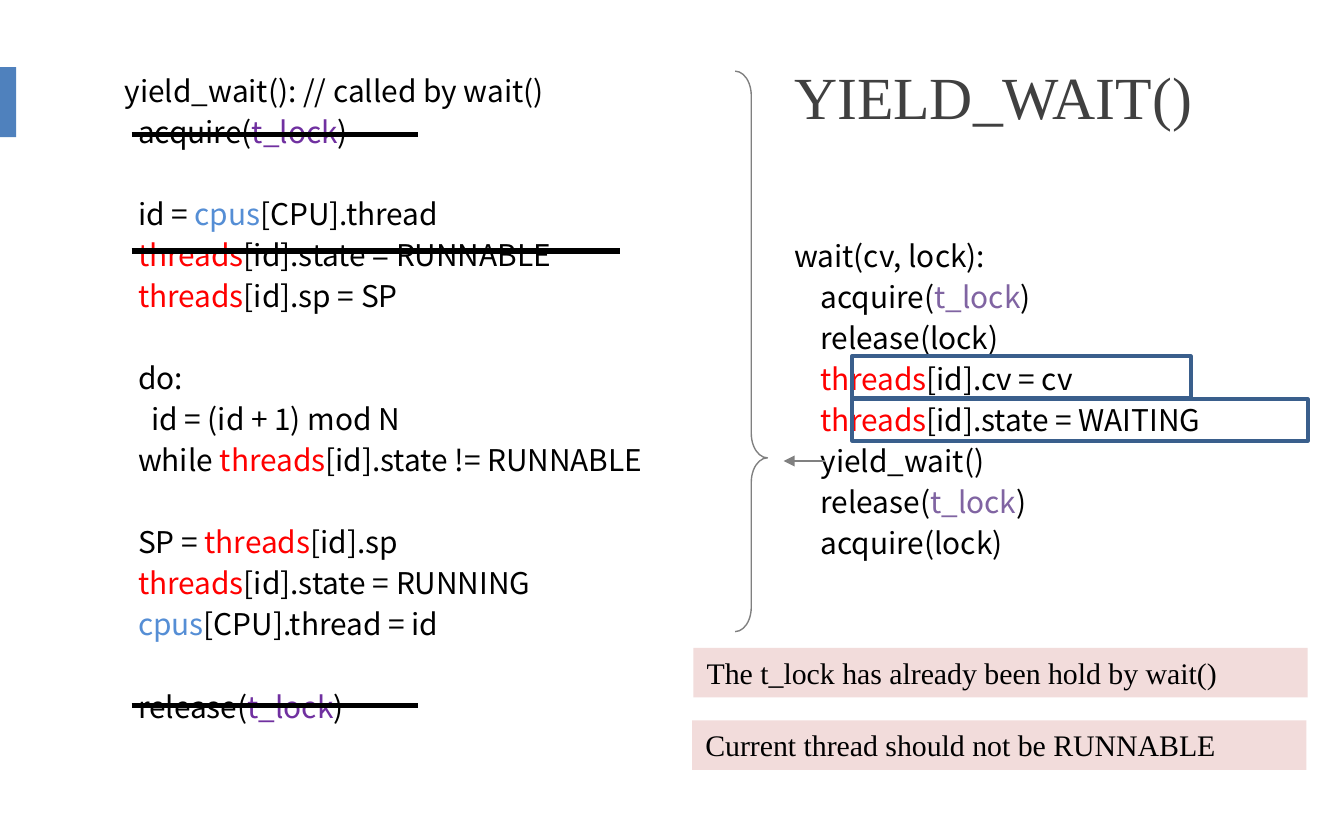
import dataclasses

import lxml.etree
import pptx
import pptx.dml.color
import pptx.enum.shapes
import pptx.enum.text
import pptx.oxml.ns
import pptx.util

Inches = pptx.util.Inches
Pt = pptx.util.Pt
Shape = pptx.enum.shapes.MSO_SHAPE
Anchor = pptx.enum.text.MSO_ANCHOR


@dataclasses.dataclass(frozen=True)
class Theme:
    """Colours, fonts and sizes of the slide."""
    ink: str = "000000"
    title: str = "404040"
    accent: str = "4F81BD"
    note: str = "F2DCDB"
    frame: str = "3A5F8C"
    guide: str = "808080"
    threads: str = "FF0000"
    cpus: str = "558ED5"
    yield_lock: str = "7030A0"
    wait_lock: str = "8064A2"
    code_font: str = "Noto Sans CJK SC"
    text_font: str = "Times New Roman"
    title_size: int = 32
    body_size: int = 16
    code_leading: int = 22


THEME = Theme()

YIELD_WAIT = """yield_wait(): // called by wait()
  acquire(t_lock)

  id = cpus[CPU].thread
  threads[id].state = RUNNABLE
  threads[id].sp = SP

  do:
    id = (id + 1) mod N
  while threads[id].state != RUNNABLE

  SP = threads[id].sp
  threads[id].state = RUNNING
  cpus[CPU].thread = id

  release(t_lock)"""

WAIT = """wait(cv, lock):
    acquire(t_lock)
    release(lock)
    threads[id].cv = cv
    threads[id].state = WAITING
    yield_wait()
    release(t_lock)
    acquire(lock)"""


def rgb(value):
    """Turn a hex string into a colour."""
    return pptx.dml.color.RGBColor.from_string(value)


def add_span(para, text, font, size, color):
    """Append one styled run to a paragraph."""
    span = para.add_run()
    span.text = text
    span.font.name, span.font.size = font, Pt(size)
    span.font.color.rgb = rgb(color)


def add_shape(page, box, kind=Shape.RECTANGLE, fill=None, line=None, width=2):
    """Place a preset shape with an optional fill and outline."""
    shape = page.shapes.add_shape(kind, *map(Inches, box))
    shape.shadow.inherit = False
    if fill:
        shape.fill.solid()
        shape.fill.fore_color.rgb = rgb(fill)
    else:
        shape.fill.background()
    if line:
        shape.line.color.rgb = rgb(line)
        shape.line.width = Pt(width)
    else:
        shape.line.fill.background()
    return shape


def add_line(page, start, end, color, width, arrow=False):
    """Draw a straight line, with an arrowhead at its end if asked."""
    line = page.shapes.add_connector(
        pptx.enum.shapes.MSO_CONNECTOR.STRAIGHT, *map(Inches, start + end))
    line.line.color.rgb = rgb(color)
    line.line.width = Pt(width)
    qn = pptx.oxml.ns.qn
    if arrow:
        outline = line.line._get_or_add_ln()
        lxml.etree.SubElement(outline, qn("a:tailEnd"), type="triangle")
    lxml.etree.SubElement(line._element.spPr, qn("a:effectLst"))


def add_title(page, box, text):
    """Place the slide title."""
    frame = page.shapes.add_textbox(*map(Inches, box)).text_frame
    frame.word_wrap = True
    frame.vertical_anchor = Anchor.MIDDLE
    add_span(frame.paragraphs[0], text, THEME.text_font, THEME.title_size, THEME.title)


def add_code(page, box, code, names):
    """Place a listing whose given names are coloured."""
    frame = page.shapes.add_textbox(*map(Inches, box)).text_frame
    frame.word_wrap = True
    for number, block in enumerate(code.split("\n\n")):
        for row, text in enumerate(block.split("\n")):
            para = frame.add_paragraph() if number or row else frame.paragraphs[0]
            para.line_spacing = Pt(THEME.code_leading)
            if number and not row:
                para.space_before = Pt(THEME.code_leading)
            name = next((name for name in names if name in text), None)
            before, found, after = text.partition(name) if name else (text, "", "")
            for part, color in ((before, THEME.ink), (found, names.get(name)), (after, THEME.ink)):
                if part:
                    add_span(para, part, THEME.code_font, THEME.body_size, color)


def add_note(page, box, text):
    """Place a tinted remark."""
    frame = add_shape(page, box, fill=THEME.note).text_frame
    frame.word_wrap = True
    frame.vertical_anchor = Anchor.TOP
    para = frame.paragraphs[0]
    para.alignment = pptx.enum.text.PP_ALIGN.LEFT
    add_span(para, text, THEME.text_font, THEME.body_size, THEME.ink)


def add_yield_panel(page, box):
    """Place the yield_wait listing with its struck lines."""
    left, top, _, _ = box
    names = {"threads": THEME.threads, "cpus": THEME.cpus, "t_lock": THEME.yield_lock}
    add_code(page, box, YIELD_WAIT, names)
    for down, length in ((0.55, 2.13), (1.42, 3.63), (4.8, 2.13)):
        start = left + 0.15
        add_line(page, (start, top + down), (start + length, top + down), THEME.ink, 3)


def add_wait_panel(page, box):
    """Place the wait listing with its framed lines and call arrow."""
    left, top, _, _ = box
    add_code(page, box, WAIT, {"threads": THEME.threads, "t_lock": THEME.wait_lock})
    for down, width in ((0.97, 2.52), (1.29, 3.39)):
        add_shape(page, (left + 0.53, top + down, width, 0.31), line=THEME.frame)
    call = top + 1.75
    add_line(page, (left + 0.33, call), (left + 0.02, call), THEME.guide, 0.75, arrow=True)


def add_brace(page, box):
    """Place the brace that joins both listings."""
    brace = add_shape(page, box, Shape.RIGHT_BRACE, line=THEME.guide, width=0.75)
    brace.adjustments[0], brace.adjustments[1] = 0.76, 0.69


def main():
    """Build and save the slide."""
    deck = pptx.Presentation()
    deck.slide_width, deck.slide_height = Inches(10), Inches(6.25)
    page = deck.slides.add_slide(deck.slide_layouts[6])
    add_shape(page, (0, 0.5, 0.12, 0.52), fill=THEME.accent)
    add_title(page, (5.81, 0.19, 3.67, 1.04), "YIELD_WAIT()")
    add_yield_panel(page, (0.83, 0.45, 5, 5.04))
    add_note(page, (5.16, 4.82, 4.57, 0.37), "The t_lock has already been hold by wait()")
    add_note(page, (5.15, 5.36, 4.57, 0.37), "Current thread should not be RUNNABLE")
    add_wait_panel(page, (5.81, 1.68, 4.19, 2.57))
    add_brace(page, (5.47, 0.53, 0.24, 4.17))
    deck.save("out.pptx")


if __name__ == "__main__":
    main()
